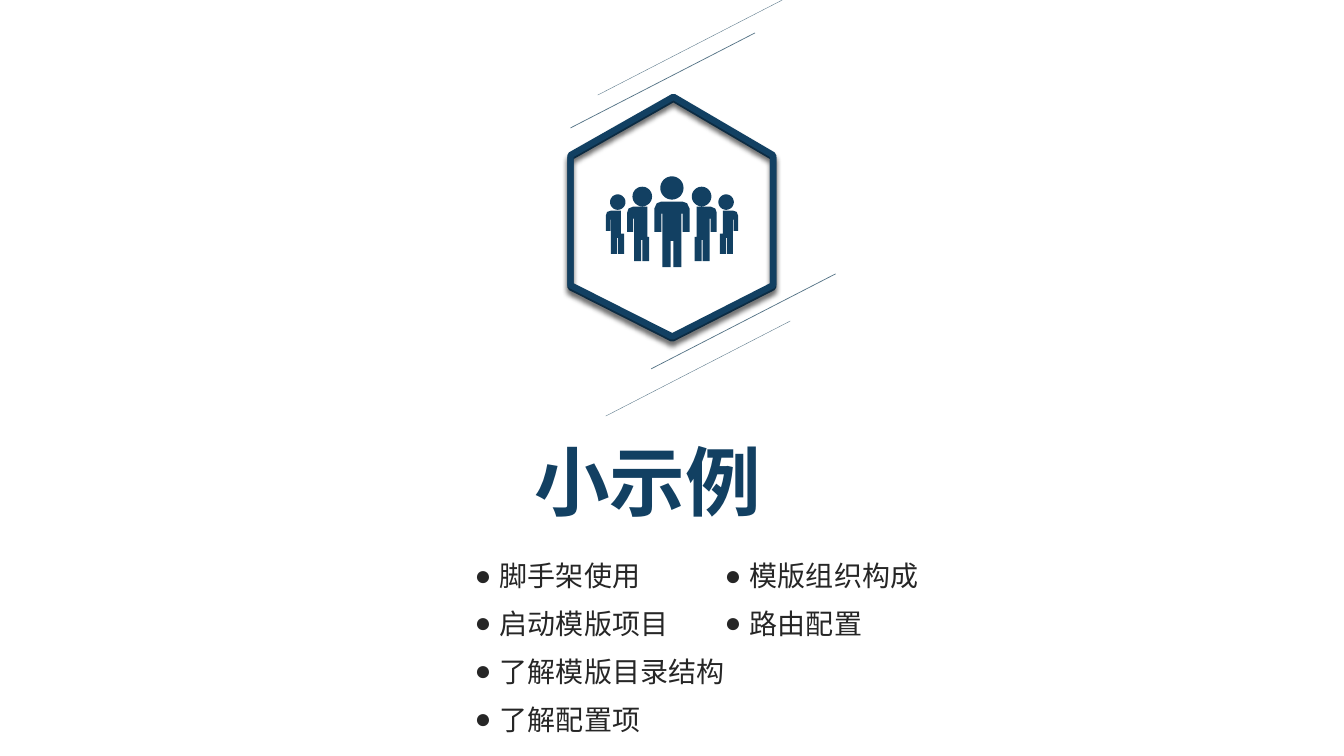
from math import cos, pi, sin

from lxml.etree import SubElement
from pptx import Presentation
from pptx.dml.color import RGBColor
from pptx.enum.shapes import MSO_CONNECTOR as CONN
from pptx.enum.text import MSO_ANCHOR as ANCHOR
from pptx.oxml.ns import qn
from pptx.util import Pt

NAVY, SLATE, INK = "124062", "537285", "262626"
FONT = "Noto Sans CJK SC"
UNITS = 100  # freeform units per point
CENTER = 480  # axis of the badge

HEXAGON = [(481, 70.6), (552.2, 112.3), (552.2, 205.2),
           (480.2, 241.9), (407.5, 205.2), (407.5, 112.3)]

# Heads: distance from the axis, y, radius
HEADS = [(0, 134.3, 8.3), (21.2, 140.4, 7), (38.7, 144.4, 5.5)]

# Bodies: distance from the axis, y
LEADER_HALF = [(7.5, 144), (10.8, 145.2), (12.6, 149), (12.6, 165.6),
               (7.6, 165.6), (7.6, 152.6), (6.8, 152.6), (6.8, 190.8),
               (1, 190.8), (1, 172.1)]
INNER_BODY = [(16.2, 169.2), (16.2, 186.5), (21.2, 186.5), (21.2, 171.4),
              (22, 171.4), (22, 186.5), (27, 186.5), (27, 156.2),
              (27.7, 156.2), (27.7, 165.6), (32, 165.6), (32, 151.9),
              (31, 149), (27.7, 147.6), (17.6, 147.6), (17.6, 169.2)]
OUTER_BODY = [(34.2, 167), (34.2, 181.4), (38.5, 181.4), (38.5, 169.9),
              (39.2, 169.9), (39.2, 181.4), (43.6, 181.4), (43.6, 157),
              (44, 157), (44, 164.9), (47.2, 164.9), (47.2, 154),
              (46.3, 151.4), (43.6, 150.5), (36.4, 150.5), (36.4, 167)]

# Accent lines: left, bottom, width in points
ACCENT_LINES = [(465.1, 263.5, 0.5), (432.7, 297.2, 0.25),
                (407.5, 91.4, 0.5), (427, 67.9, 0.25)]

TOPICS = [(339.1, ["脚手架使用", "启动模版项目", "了解模版目录结构", "了解配置项"]),
          (517.7, ["模版组织构成", "路由配置"])]


def rgb(color):
    return RGBColor.from_string(color)


def add_outline(slide, contours):
    """Draw closed contours, given in points, as one freeform."""
    scaled = [[(x * UNITS, y * UNITS) for x, y in c] for c in contours]
    fb = slide.shapes.build_freeform(*scaled[0][0], scale=Pt(1) / UNITS)
    for i, contour in enumerate(scaled):
        if i:
            fb.move_to(*contour[0])
        fb.add_line_segments(contour[1:], close=True)
    sp = fb.convert_to_shape()
    sp.shadow.inherit = False
    return sp


def add_frame(slide, dy):
    sp = add_outline(slide, [[(x, y + dy) for x, y in HEXAGON]])
    sp.fill.background()
    sp.line.color.rgb = rgb(NAVY)
    sp.line.width = Pt(4.5)
    # Soft shadow straight below
    effects = sp._element.spPr.find(qn("a:effectLst"))
    shadow = SubElement(effects, qn("a:outerShdw"), blurRad=str(Pt(4)),
                        dist=str(Pt(3)), dir="5400000", rotWithShape="0")
    color = SubElement(shadow, qn("a:srgbClr"), val="000000")
    SubElement(color, qn("a:alpha"), val="40000")


def circle(x, y, radius, steps=36):
    angles = [2 * pi * i / steps for i in range(steps)]
    return [(x + radius * cos(a), y + radius * sin(a)) for a in angles]


def add_team(slide):
    leader = LEADER_HALF + [(-x, y) for x, y in reversed(LEADER_HALF)]
    contours = [circle(*HEADS[0]), leader]
    for side in (-1, 1):
        contours += [circle(side * x, y, r) for x, y, r in HEADS[1:]]
        contours += [[(side * x, y) for x, y in body]
                     for body in (INNER_BODY, OUTER_BODY)]
    sp = add_outline(slide, [[(CENTER + x, y) for x, y in c] for c in contours])
    sp.fill.solid()
    sp.fill.fore_color.rgb = rgb(NAVY)
    sp.line.fill.background()


def add_accent_line(slide, left, bottom, weight):
    line = slide.shapes.add_connector(CONN.STRAIGHT, Pt(left), Pt(bottom),
                                      Pt(left + 131.8), Pt(bottom - 67.9))
    line.line.color.rgb = rgb(SLATE)
    line.line.width = Pt(weight)
    SubElement(line._element.spPr, qn("a:effectLst"))


def add_text(slide, text, box, size, color, bold=False):
    tb = slide.shapes.add_textbox(*[Pt(v) for v in box])
    tf = tb.text_frame
    tf.vertical_anchor = ANCHOR.MIDDLE
    tf.word_wrap = False
    tf.margin_left = tf.margin_right = tf.margin_top = tf.margin_bottom = 0
    p = tf.paragraphs[0]
    r = p.add_run()
    r.text = text
    r.font.name, r.font.size, r.font.bold = FONT, Pt(size), bold
    r.font.color.rgb = rgb(color)
    SubElement(r.font._element, qn("a:ea"), typeface=FONT)
    return tf


def add_topic(slide, text, left, top):
    tf = add_text(slide, text, (left, top, 211, 24.5), 20, INK)
    tf.word_wrap = True
    pPr = tf.paragraphs[0]._p.get_or_add_pPr()
    pPr.set("marL", str(Pt(18)))
    pPr.set("indent", str(-Pt(18)))
    SubElement(pPr, qn("a:buFont"), typeface="Arial")
    SubElement(pPr, qn("a:buChar"), char="●")


def main():
    prs = Presentation()
    prs.slide_width, prs.slide_height = Pt(960), Pt(540)
    slide = prs.slides.add_slide(prs.slide_layouts[6])

    # Badge
    for dy in (0, -1.5):
        add_frame(slide, dy)
    add_team(slide)

    # Title
    add_text(slide, "小示例", (381.6, 310, 163.4, 66), 54, NAVY, bold=True)

    # Topics in two columns
    for left, topics in TOPICS:
        for row, topic in enumerate(topics):
            add_topic(slide, topic, left, 398.9 + 34.1 * row)

    # Accent lines
    for accent in ACCENT_LINES:
        add_accent_line(slide, *accent)

    prs.save("out.pptx")


if __name__ == "__main__":
    main()
